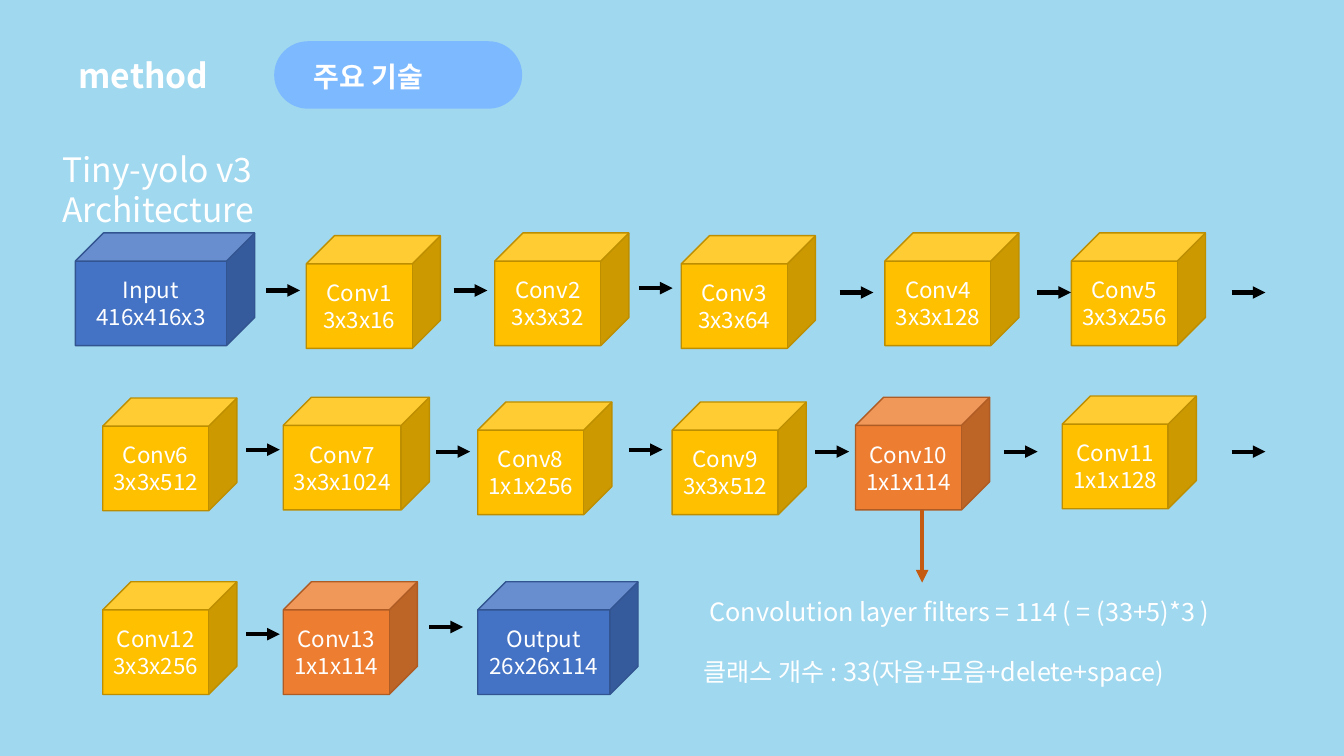
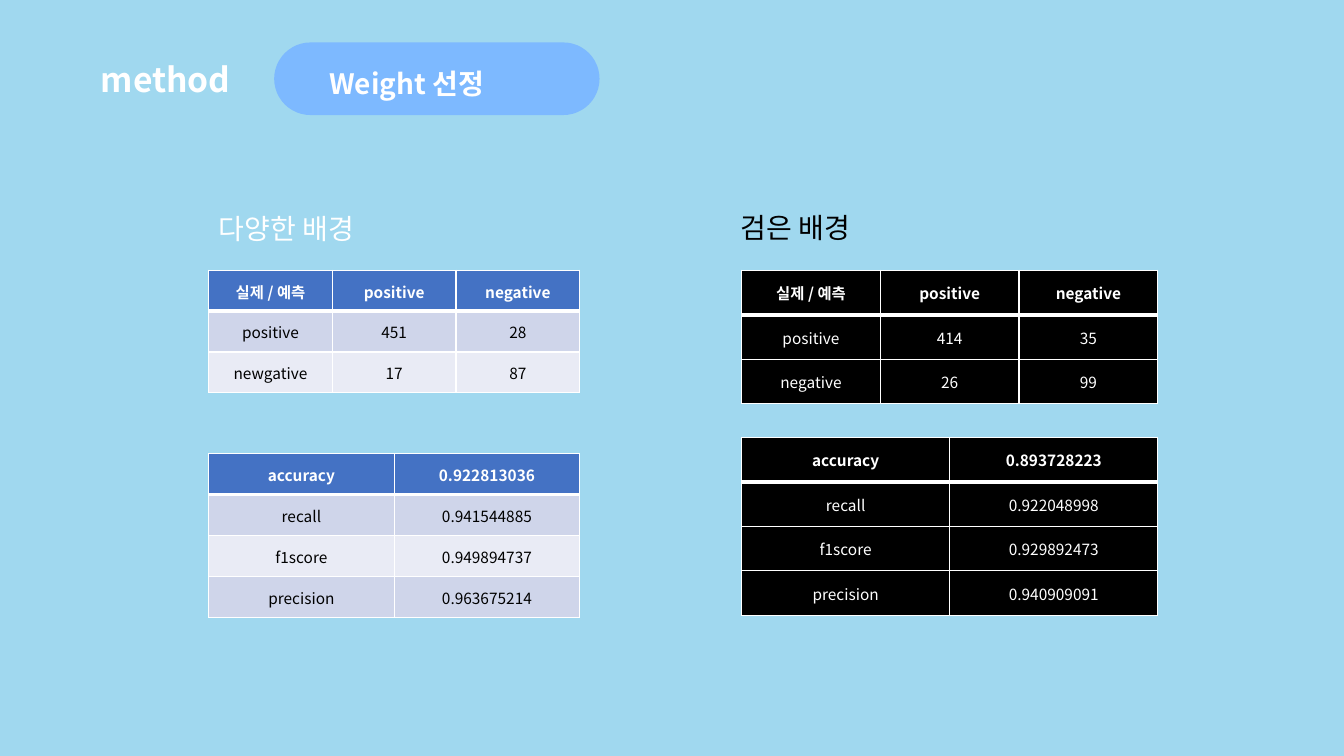
from dataclasses import dataclass
from lxml.etree import SubElement
from pptx import Presentation
from pptx.dml.color import RGBColor
from pptx.enum.shapes import MSO_CONNECTOR, MSO_SHAPE
from pptx.enum.text import MSO_ANCHOR, PP_ALIGN
from pptx.oxml import parse_xml
from pptx.oxml.ns import nsdecls, qn
from pptx.util import Cm, Pt


@dataclass(frozen=True)
class Theme:
    font: str = "Noto Sans CJK KR"
    sky: str = "A0D8EF"
    pill: str = "7DB9FF"
    white: str = "FFFFFF"
    black: str = "000000"
    blue: str = "4472C4"
    blue_edge: str = "325491"
    gold: str = "FFC000"
    gold_edge: str = "BD8E00"
    orange: str = "ED7D31"
    orange_edge: str = "AF5C24"
    rust: str = "C55A11"
    band_dark: str = "CFD5EA"
    band_light: str = "E9EBF5"
    title: int = 24
    label: int = 20
    note: int = 18
    cube: int = 16
    cell: int = 11


theme = Theme()


def write_text(frame, text, size, color=theme.white, bold=False, align=PP_ALIGN.LEFT):
    frame.text = text
    frame.word_wrap = True
    for paragraph in frame.paragraphs:
        paragraph.alignment = align
        for span in paragraph.runs:
            span.font.name = theme.font
            span.font.size = Pt(size)
            span.font.bold = bold
            span.font.color.rgb = RGBColor.from_string(color)
            SubElement(span.font._element, qn("a:ea"), typeface=theme.font)


def add_text(page, left, top, width, height, text, size, **style):
    box = page.shapes.add_textbox(Cm(left), Cm(top), Cm(width), Cm(height))
    write_text(box.text_frame, text, size, **style)
    return box


deck = Presentation()
deck.slide_width, deck.slide_height = Cm(33.87), Cm(19.05)
master_fill = deck.slide_master.background.fill
master_fill.solid()
master_fill.fore_color.rgb = RGBColor.from_string(theme.sky)

headers = [
    ((1.73, 1.27), (6.91, 1.04, 6.25, 1.7), (7.65, 1.37), "주요 기술"),
    ((2.29, 1.35), (6.91, 1.07, 8.2, 1.83), (8.05, 1.55), "Weight 선정"),
]
pages = []
for title_at, pill_at, label_at, label in headers:
    page = deck.slides.add_slide(deck.slide_layouts[6])
    add_text(page, *title_at, 7.32, 1.27, "method", theme.title, bold=True)
    pill = page.shapes.add_shape(MSO_SHAPE.ROUNDED_RECTANGLE, *map(Cm, pill_at))
    pill.adjustments[0] = 0.5
    pill.shadow.inherit = False
    pill.fill.solid()
    pill.fill.fore_color.rgb = RGBColor.from_string(theme.pill)
    pill.line.fill.background()
    add_text(page, *label_at, 7, 1.12, label, theme.label, bold=True)
    pages.append(page)
architecture, weights = pages

notes = add_text(
    architecture, 17.48, 14.91, 15.62, 2.57,
    "Convolution layer filters = 114 ( = (33+5)*3 )\n클래스 개수 : 33(자음+모음+delete+space)",
    theme.note,
)
filters, classes = notes.text_frame.paragraphs
filters._p.get_or_add_pPr().set("marL", str(Cm(0.15)))
classes.space_before = Pt(21)

blue = (theme.blue, theme.blue_edge)
gold = (theme.gold, theme.gold_edge)
orange = (theme.orange, theme.orange_edge)
cubes = [
    ("Input", "416x416x3", 1.9, 5.87, 4.52, blue),
    ("Conv1", "3x3x16", 7.72, 5.94, 3.38, gold),
    ("Conv2", "3x3x32", 12.47, 5.87, 3.38, gold),
    ("Conv3", "3x3x64", 17.17, 5.94, 3.38, gold),
    ("Conv4", "3x3x128", 22.3, 5.87, 3.38, gold),
    ("Conv5", "3x3x256", 27, 5.87, 3.38, gold),
    ("Conv6", "3x3x512", 2.59, 10.03, 3.38, gold),
    ("Conv7", "3x3x1024", 7.14, 10.01, 3.68, gold),
    ("Conv8", "1x1x256", 12.04, 10.13, 3.38, gold),
    ("Conv9", "3x3x512", 16.94, 10.13, 3.38, gold),
    ("Conv10", "1x1x114", 21.56, 10.01, 3.38, orange),
    ("Conv11", "1x1x128", 26.77, 9.98, 3.38, gold),
    ("Conv12", "3x3x256", 2.59, 14.66, 3.38, gold),
    ("Conv13", "1x1x114", 7.14, 14.66, 3.38, orange),
    ("Output", "26x26x114", 12.04, 14.66, 4.04, blue),
]
for name, size, left, top, width, (face, edge) in cubes:
    cube = architecture.shapes.add_shape(MSO_SHAPE.CUBE, Cm(left), Cm(top), Cm(width), Cm(2.84))
    cube.shadow.inherit = False
    cube.fill.solid()
    cube.fill.fore_color.rgb = RGBColor.from_string(face)
    cube.line.color.rgb = RGBColor.from_string(edge)
    cube.line.width = Pt(1)
    frame = cube.text_frame
    frame.margin_left = frame.margin_right = Cm(0.1)
    frame.vertical_anchor = MSO_ANCHOR.MIDDLE
    write_text(frame, f"{name}\n{size}", theme.cube, align=PP_ALIGN.CENTER)

arrow_starts = [
    (6.71, 7.32), (11.43, 7.32), (16.1, 7.26), (21.16, 7.37), (26.14, 7.37), (31.04, 7.37),
    (6.2, 11.33), (11, 11.38), (15.85, 11.33), (20.55, 11.38), (25.3, 11.38), (31.04, 11.38),
    (6.2, 15.98), (10.82, 15.8),
]
arrows = [(left, top, left + 0.85, top, theme.black) for left, top in arrow_starts]
arrows.append((23.24, 12.85, 23.24, 14.68, theme.rust))
for *ends, color in arrows:
    arrow = architecture.shapes.add_connector(MSO_CONNECTOR.STRAIGHT, *map(Cm, ends))
    arrow.line.color.rgb = RGBColor.from_string(color)
    arrow.line.width = Pt(3)
    SubElement(arrow.line._get_or_add_ln(), qn("a:tailEnd"), type="triangle")
    SubElement(arrow._element.spPr, qn("a:effectLst"))

add_text(architecture, 1.32, 3.63, 9.91, 1.27, "Tiny-yolo v3 Architecture", theme.title)

add_text(weights, 5.26, 5.21, 4.37, 1.12, "다양한 배경", theme.label)
add_text(weights, 18.42, 5.18, 10.49, 1.12, "검은 배경", theme.label, color=theme.black)

varied = (theme.blue, (theme.band_dark, theme.band_light), theme.black)
dark = (theme.black, (theme.black, theme.black), theme.white)
tables = [
    (5.26, 6.81, 9.35, 1.03, varied, [
        ("실제 / 예측", "positive", "negative"),
        ("positive", "451", "28"),
        ("newgative", "17", "87"),
    ]),
    (5.26, 11.43, 9.35, 1.03, varied, [
        ("accuracy", "0.922813036"),
        ("recall", "0.941544885"),
        ("f1score", "0.949894737"),
        ("precision", "0.963675214"),
    ]),
    (18.69, 6.81, 10.49, 1.12, dark, [
        ("실제 / 예측", "positive", "negative"),
        ("positive", "414", "35"),
        ("negative", "26", "99"),
    ]),
    (18.69, 11.02, 10.49, 1.12, dark, [
        ("accuracy", "0.893728223"),
        ("recall", "0.922048998"),
        ("f1score", "0.929892473"),
        ("precision", "0.940909091"),
    ]),
]
for left, top, width, row_height, (head_fill, bands, body_color), rows in tables:
    table = weights.shapes.add_table(
        len(rows), len(rows[0]), Cm(left), Cm(top), Cm(width), Cm(row_height * len(rows))
    ).table
    table.horz_banding = False
    for row_index, row in enumerate(rows):
        is_head = row_index == 0
        fill = head_fill if is_head else bands[(row_index - 1) % 2]
        borders = {"L": 1, "R": 1, "T": 3 if row_index == 1 else 1, "B": 3 if is_head else 1}
        for column_index, value in enumerate(row):
            cell = table.cell(row_index, column_index)
            cell.vertical_anchor = MSO_ANCHOR.MIDDLE
            cell.margin_left = cell.margin_right = cell.margin_top = Cm(0.03)
            cell.margin_bottom = 0
            write_text(
                cell.text_frame, value, theme.cell, bold=is_head,
                color=theme.white if is_head else body_color, align=PP_ALIGN.CENTER,
            )
            cell.fill.solid()
            cell.fill.fore_color.rgb = RGBColor.from_string(fill)
            properties = cell._tc.get_or_add_tcPr()
            for position, (side, weight) in enumerate(borders.items()):
                properties.insert(position, parse_xml(
                    f'<a:ln{side} {nsdecls("a")} w="{Pt(weight)}"><a:solidFill>'
                    f'<a:srgbClr val="{theme.white}"/></a:solidFill></a:ln{side}>'
                ))

deck.save("out.pptx")
